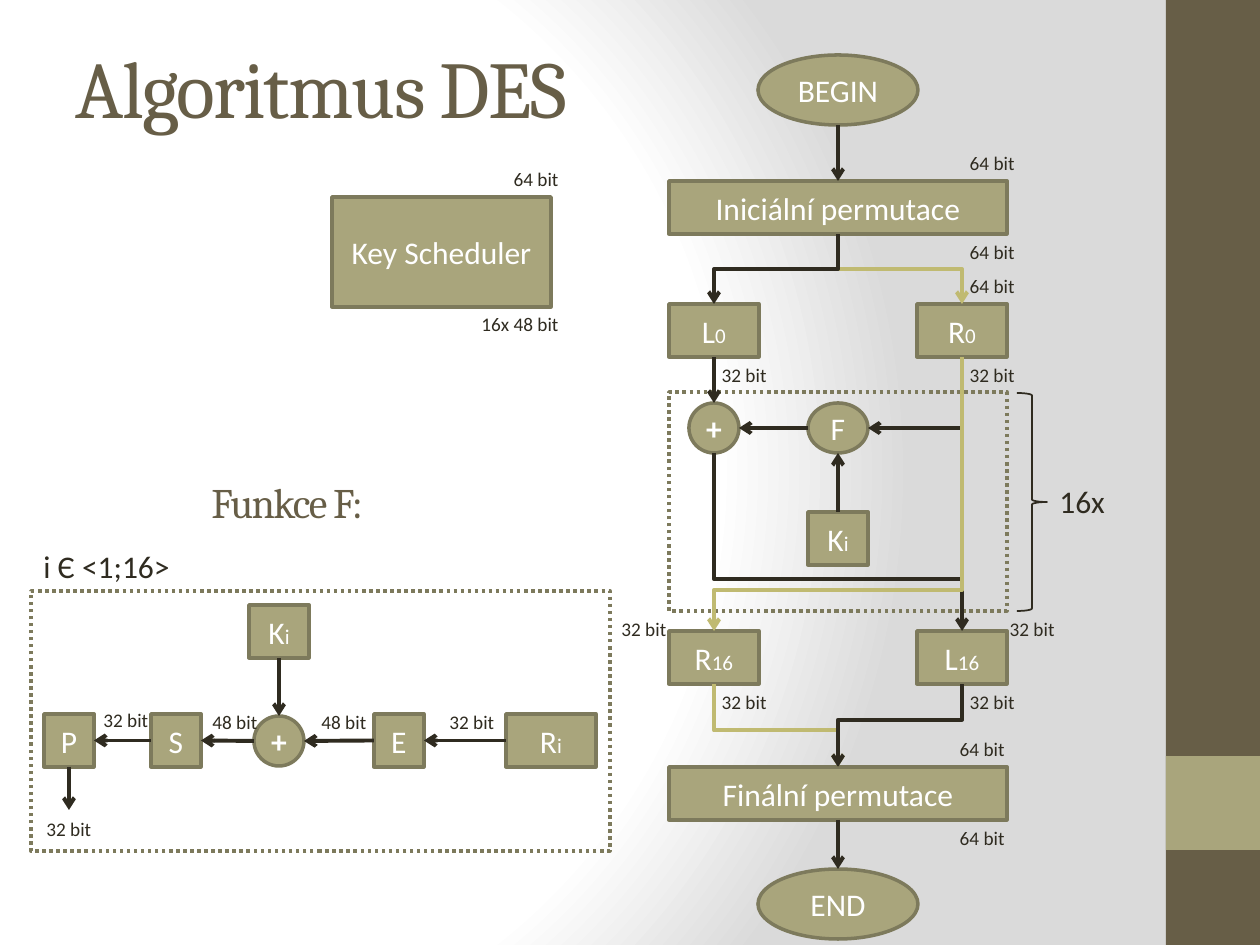
from lxml import etree
from pptx import Presentation
from pptx.dml.color import RGBColor
from pptx.enum.dml import MSO_LINE
from pptx.enum.shapes import MSO_CONNECTOR, MSO_SHAPE
from pptx.enum.text import MSO_ANCHOR, PP_ALIGN
from pptx.oxml import parse_xml
from pptx.oxml.ns import nsdecls, qn
from pptx.util import Pt

PX = 914400 / 126
RECT, OVAL, BRACE = MSO_SHAPE.RECTANGLE, MSO_SHAPE.OVAL, MSO_SHAPE.RIGHT_BRACE
LINE, ELBOW = MSO_CONNECTOR.STRAIGHT, MSO_CONNECTOR.ELBOW
LEFT, MID, RIGHT = PP_ALIGN.LEFT, PP_ALIGN.CENTER, PP_ALIGN.RIGHT
CENTRE, TOP = MSO_ANCHOR.MIDDLE, MSO_ANCHOR.TOP
DOTS = MSO_LINE.ROUND_DOT
HEX = {"brown": "675E47", "olive": "A9A57C", "edge": "7D7A5C",
       "ink": "2F2B20", "gold": "C0BA71", "white": "FFFFFF"}
RGB = {name: RGBColor.from_string(code) for name, code in HEX.items()}


def write(frame, runs, color, align=LEFT, anchor=TOP, face="Calibri", bold=None):
    frame.word_wrap = True
    frame.vertical_anchor = anchor
    para = frame.paragraphs[0]
    para.alignment = align
    for text, size in runs:
        run = para.add_run()
        run.text = text
        run.font.size = Pt(size)
        run.font.name = face
        run.font.bold = bold
        run.font.color.rgb = RGB[color]
        if face == "Cambria":
            run.font._element.set("spc", "-100")


def wire(kind, ends, color="ink"):
    link = slide.shapes.add_connector(kind, *[round(v * PX) for v in ends])
    link.line.color.rgb = RGB[color]
    link.line.width = Pt(2.25)
    etree.SubElement(link.line._get_or_add_ln(), qn("a:tailEnd"), type="arrow")
    etree.SubElement(link._element.spPr, qn("a:effectLst"))
    return link


prs = Presentation()
prs.slide_width, prs.slide_height = round(1260 * PX), round(945 * PX)
slide = prs.slides.add_slide(prs.slide_layouts[5])

# Background: radial fade from white to grey
fill = slide.background.fill
fill.gradient()
old = slide._element.find(".//" + qn("a:gradFill"))
old.getparent().replace(old, parse_xml(
    f'<a:gradFill {nsdecls("a")} rotWithShape="1"><a:gsLst>'
    '<a:gs pos="0"><a:srgbClr val="FFFFFF"/></a:gs>'
    '<a:gs pos="75000"><a:srgbClr val="FFFFFF"/></a:gs>'
    '<a:gs pos="100000"><a:srgbClr val="DADADA"/></a:gs></a:gsLst>'
    '<a:path path="circle"><a:fillToRect l="20000" t="50000" r="100000" b="50000"/>'
    '</a:path></a:gradFill>'))

# Title
title = slide.shapes.title
title.left, title.top, title.width, title.height = [
    round(v * PX) for v in (63, 38, 1050, 97)]
write(title.text_frame, [("Algoritmus DES", 46)], "brown", anchor=CENTRE, face="Cambria")

# Side bar, dotted frames and brace: kind, box, fill, edge, width, dash
for kind, box, tint, edge, width, dash in [
    (RECT, (1166, 0, 94, 945), "brown", None, 0, None),
    (RECT, (1166, 756, 94, 94), "olive", None, 0, None),
    (RECT, (669, 392, 338, 219), None, "edge", 2, DOTS),
    (RECT, (31, 591, 579, 260), None, "edge", 2, DOTS),
    (BRACE, (1017, 393, 30, 218), None, "ink", 1, None),
]:
    part = slide.shapes.add_shape(kind, *[round(v * PX) for v in box])
    part.shadow.inherit = False
    if tint:
        part.fill.solid()
        part.fill.fore_color.rgb = RGB[tint]
    else:
        part.fill.background()
    if edge:
        part.line.color.rgb = RGB[edge]
        part.line.width = Pt(width)
        part.line.dash_style = dash
    else:
        part.line.fill.background()

# Nodes: key, kind, box, main text, small suffix
node = {}
for key, kind, box, text, sub in [
    ("keys", RECT, (332, 197, 219, 110), "Key Scheduler", ""),
    ("begin", OVAL, (758, 55, 160, 70), "BEGIN", ""),
    ("init", RECT, (669, 181, 338, 53), "Iniciální permutace", ""),
    ("L0", RECT, (669, 304, 90, 53), "L", "0"),
    ("R0", RECT, (917, 304, 90, 53), "R", "0"),
    ("xor", OVAL, (689, 403, 50, 50), "+", ""),
    ("F", OVAL, (808, 403, 60, 50), "F", ""),
    ("key", RECT, (808, 512, 60, 53), "K", "i"),
    ("R16", RECT, (669, 631, 90, 53), "R", "16"),
    ("L16", RECT, (917, 631, 90, 53), "L", "16"),
    ("final", RECT, (669, 767, 338, 53), "Finální permutace", ""),
    ("end", OVAL, (758, 869, 160, 70), "END", ""),
    ("Fkey", RECT, (249, 605, 60, 53), "K", "i"),
    ("P", RECT, (44, 714, 50, 53), "P", ""),
    ("S", RECT, (151, 714, 50, 53), "S", ""),
    ("Fxor", OVAL, (254, 716, 50, 50), "+", ""),
    ("E", RECT, (374, 714, 50, 53), "E", ""),
    ("Ri", RECT, (506, 714, 90, 53), "R", "i"),
]:
    shape = slide.shapes.add_shape(kind, *[round(v * PX) for v in box])
    shape.shadow.inherit = False
    shape.fill.solid()
    shape.fill.fore_color.rgb = RGB["olive"]
    shape.line.color.rgb = RGB["edge"]
    shape.line.width = Pt(2)
    frame = shape.text_frame
    frame.margin_left = frame.margin_right = 0
    runs = [(text, 18), (sub, 12)] if sub else [(text, 18)]
    write(frame, runs, "white", MID, CENTRE, bold=True if text == "+" else None)
    node[key] = shape

# Straight arrows: ends, then (node, side) joins at start and finish
for ends, start, stop in [
    ((838, 125, 838, 181), None, ("init", 0)),
    ((714, 357, 714, 403), ("L0", 2), None),
    ((838, 512, 838, 453), ("key", 0), None),
    ((808, 428, 739, 428), None, None),
    ((838, 820, 838, 869), ("final", 2), None),
    ((506, 741, 424, 741), ("Ri", 1), ("E", 3)),
    ((374, 741, 304, 741), ("E", 1), None),
    ((254, 741, 201, 741), None, ("S", 3)),
    ((151, 741, 94, 741), ("S", 1), ("P", 3)),
    ((279, 658, 279, 716), ("Fkey", 2), None),
    ((69, 767, 69, 810), ("P", 2), None),
]:
    link = wire(LINE, ends)
    if start:
        link.begin_connect(node[start[0]], start[1])
    if stop:
        link.end_connect(node[stop[0]], stop[1])

# Bent arrows leave downwards, so each is an elbow turned by a quarter
for x1, y1, x2, y2, bend, color in [
    (962, 357, 868, 428, None, "ink"),
    (714, 453, 962, 631, 0.71, "ink"),
    (962, 357, 714, 631, 0.85, "gold"),
    (714, 684, 838, 767, 0.56, "gold"),
    (962, 684, 838, 767, 0.43, "ink"),
    (838, 234, 962, 304, 0.5, "gold"),
    (838, 234, 714, 304, 0.5, "ink"),
]:
    cx, cy = (x1 + x2) / 2, (y1 + y2) / 2
    side = 1 if x2 > x1 else -1
    dx, dy = side * (y2 - y1) / 2, abs(x2 - x1) / 2
    link = wire(ELBOW, (cx + dx, cy - dy, cx - dx, cy + dy), color)
    props = link._element.spPr
    props.find(qn("a:xfrm")).set("rot", str((270 if side > 0 else 90) * 60000))
    geom = props.find(qn("a:prstGeom"))
    if bend is None:
        geom.set("prst", "bentConnector2")
    else:
        guides = geom.find(qn("a:avLst"))
        if guides is None:
            guides = etree.SubElement(geom, qn("a:avLst"))
        etree.SubElement(guides, qn("a:gd"), name="adj1",
                         fmla=f"val {round(bend * 100000)}")

# Labels: text, left, top, width, alignment
notes = [(text, x, y, w, 36, RIGHT, 11, "ink", "Calibri") for text, x, y, w in [
    ("64 bit", 456, 161, 115), ("16x 48 bit", 461, 306, 110),
    ("64 bit", 948, 145, 79), ("64 bit", 948, 234, 79), ("64 bit", 948, 268, 79),
    ("32 bit", 927, 357, 100), ("32 bit", 679, 357, 100),
    ("32 bit", 967, 611, 100), ("32 bit", 927, 684, 100), ("32 bit", 679, 684, 100),
    ("64 bit", 938, 731, 79), ("64 bit", 938, 820, 79)]]
notes += [(text, x, y, 100, 36, LEFT, 11, "ink", "Calibri") for text, x, y in [
    ("32 bit", 609, 611), ("32 bit", 437, 704), ("48 bit", 309, 704),
    ("48 bit", 200, 704), ("32 bit", 91, 702), ("32 bit", 34, 811)]]
notes += [("16x", 1047, 476, 128, 50, LEFT, 18, "ink", "Calibri"),
          ("i Є <1;16>", 31, 541, 173, 50, LEFT, 18, "ink", "Calibri"),
          ("Funkce F:", 199, 470, 198, 63, LEFT, 24, "brown", "Cambria")]
for text, x, y, w, h, align, size, color, face in notes:
    label = slide.shapes.add_textbox(*[round(v * PX) for v in (x, y, w, h)])
    write(label.text_frame, [(text, size)], color, align, face=face)

prs.save("out.pptx")
